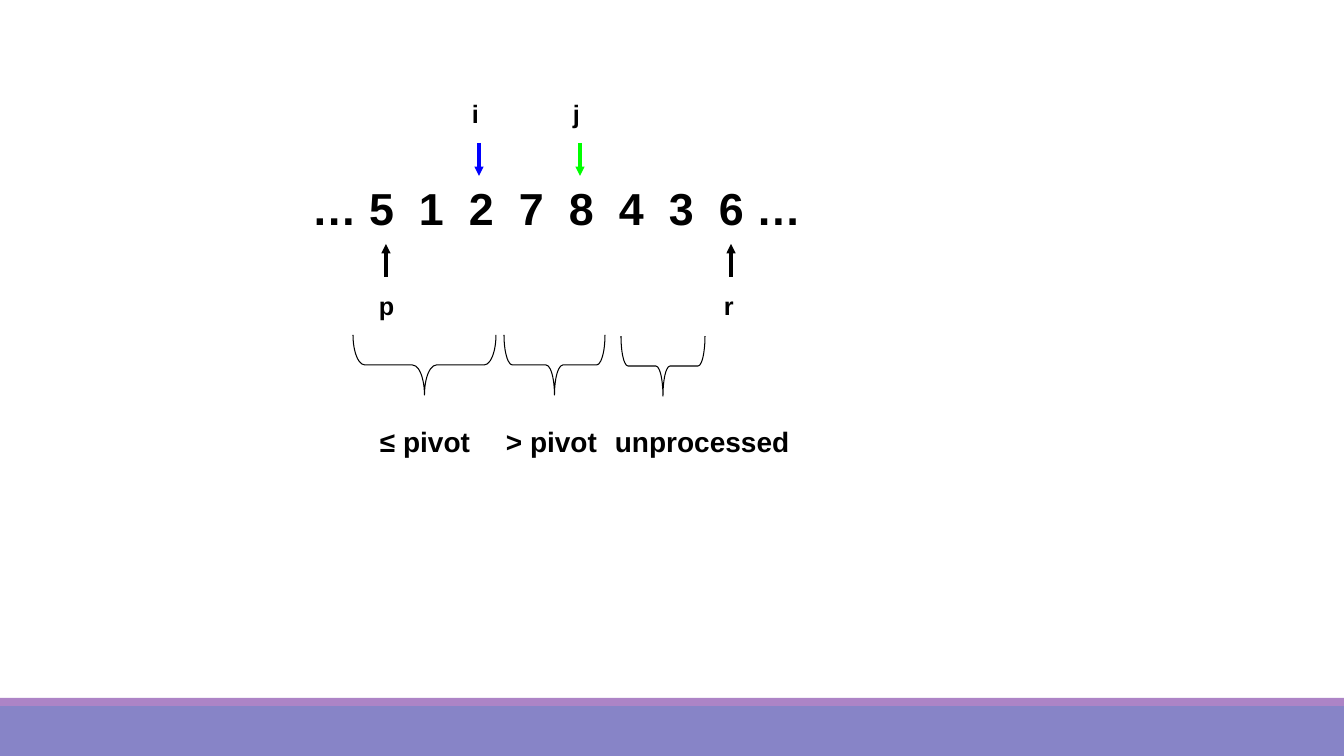
from dataclasses import dataclass

from lxml import etree
from pptx import Presentation, util as u
from pptx.dml.color import RGBColor
from pptx.enum import shapes, text
from pptx.oxml import ns

PX = 914400 / 100.8
COLORS = {
    "ink": "000000",
    "i": "0000FF",
    "j": "00FF00",
    "footer": "8784C7",
    "stripe": "AD84C6",
}
DIGIT_PITCH = 50
FIRST_DIGIT = 57
BRACE_DEPTH = 60


@dataclass(frozen=True)
class Pointer:
    name: str
    x: int
    color: str
    above: bool


@dataclass(frozen=True)
class Region:
    label: str
    label_left: int
    label_width: int
    brace_left: int
    brace_top: int
    brace_span: int


POINTERS = [
    Pointer("i", 479, "i", True),
    Pointer("j", 580, "j", True),
    Pointer("p", 386, "ink", False),
    Pointer("r", 731, "ink", False),
]
REGIONS = [
    Region("≤ pivot", 370, 118, 353, 335, 143),
    Region("> pivot", 496, 118, 504, 335, 101),
    Region("unprocessed", 605, 202, 621, 336, 84),
]


def px(length: float) -> u.Emu:
    return u.Emu(round(length * PX))


def rgb(name: str) -> RGBColor:
    return RGBColor.from_string(COLORS[name])


def add_text(slide, words: str, left: int, top: int, width: int, height: int,
             *, size: int, color: str = "ink", bold: bool = True):
    box = slide.shapes.add_textbox(px(left), px(top), px(width), px(height))
    box.text_frame.word_wrap = True
    box.text_frame.auto_size = text.MSO_AUTO_SIZE.SHAPE_TO_FIT_TEXT
    paragraph = box.text_frame.paragraphs[0]
    run = paragraph.add_run()
    run.text = words
    run.font.name = "Arial"
    run.font.size = u.Pt(size)
    run.font.bold = bold
    run.font.color.rgb = rgb(color)
    return paragraph


def add_bar(slide, top: int, height: int, color: str) -> None:
    bar = slide.shapes.add_shape(shapes.MSO_SHAPE.RECTANGLE,
                                 0, px(top), px(1344), px(height))
    bar.shadow.inherit = False
    bar.fill.solid()
    bar.fill.fore_color.rgb = rgb(color)
    bar.line.fill.background()


def add_array(slide, digits: str) -> None:
    """Write the digits at equal tab stops between two ellipses."""
    paragraph = add_text(slide, "… " + "\t".join(digits) + " …",
                         302, 176, 521, 64, size=32)
    properties = paragraph._p.get_or_add_pPr()
    stops = etree.SubElement(properties, ns.qn("a:tabLst"))
    for index in range(1, len(digits)):
        position = px(FIRST_DIGIT + index * DIGIT_PITCH)
        etree.SubElement(stops, ns.qn("a:tab"), pos=str(position), algn="l")


def add_pointer(slide, pointer: Pointer) -> None:
    start, end, label_top = (143, 176, 93) if pointer.above else (277, 244, 285)
    arrow = slide.shapes.add_connector(shapes.MSO_CONNECTOR.STRAIGHT,
                                       px(pointer.x), px(start),
                                       px(pointer.x), px(end))
    arrow.line.color.rgb = rgb(pointer.color)
    arrow.line.width = u.Pt(2.25)
    etree.SubElement(arrow.line._get_or_add_ln(), ns.qn("a:tailEnd"), type="triangle")
    etree.SubElement(arrow._element.spPr, ns.qn("a:effectLst"))
    add_text(slide, pointer.name, pointer.x - 17, label_top, 42, 40, size=18)


def add_region(slide, region: Region) -> None:
    """Draw a brace that opens upwards, with its label below."""
    span = region.brace_span
    inset = (span - BRACE_DEPTH) / 2  # the frame is placed before its quarter turn
    brace = slide.shapes.add_shape(
        shapes.MSO_SHAPE.LEFT_BRACE,
        px(region.brace_left + inset), px(region.brace_top - inset),
        px(BRACE_DEPTH), px(span))
    brace.rotation = 270
    brace.adjustments[0] = span / BRACE_DEPTH / 12
    brace.shadow.inherit = False
    brace.fill.background()
    brace.line.color.rgb = rgb("ink")
    brace.line.width = u.Pt(0.75)
    add_text(slide, region.label, region.label_left, 420,
             region.label_width, 43, size=20)


def main() -> None:
    deck = Presentation()
    deck.slide_width, deck.slide_height = px(1344), px(756)
    slide = deck.slides.add_slide(deck.slide_layouts[6])
    add_bar(slide, 706, 50, "footer")
    add_bar(slide, 698, 8, "stripe")
    add_array(slide, "51278436")
    for pointer in POINTERS:
        add_pointer(slide, pointer)
    for region in REGIONS:
        add_region(slide, region)
    deck.save("out.pptx")


if __name__ == "__main__":
    main()
